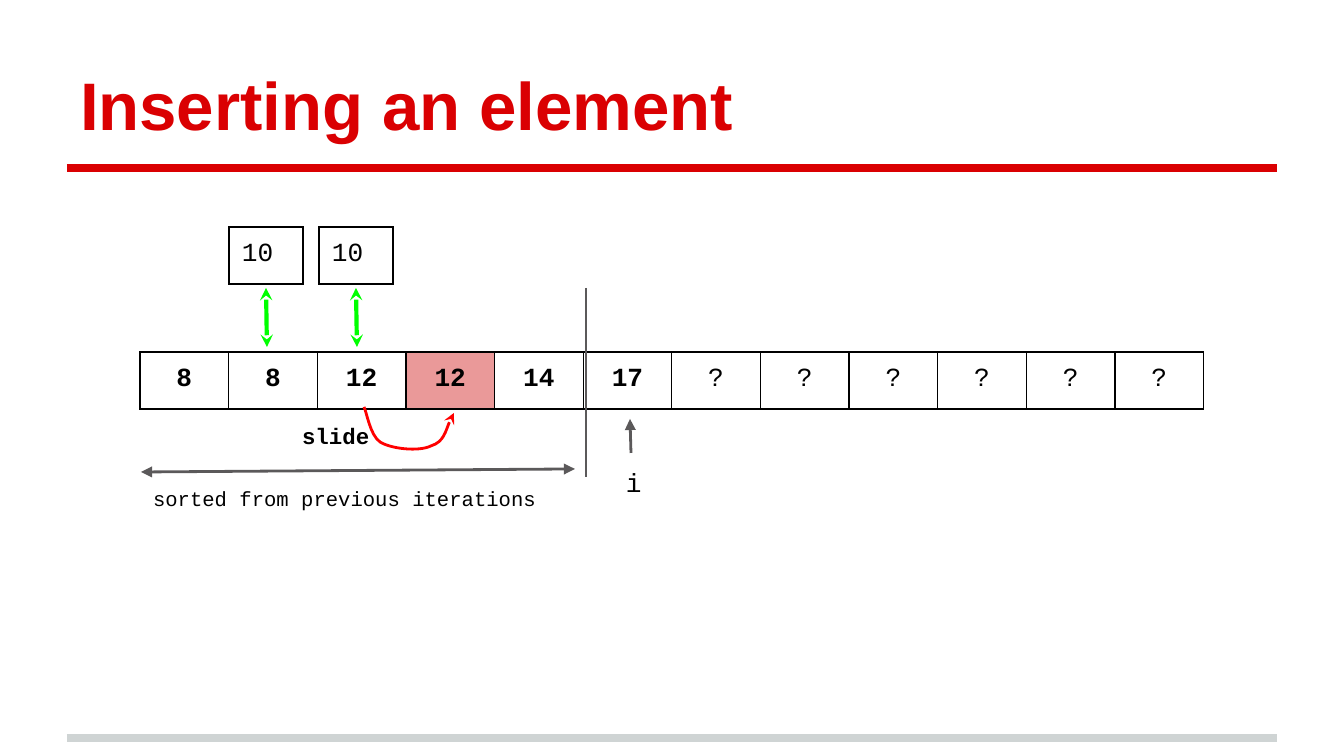
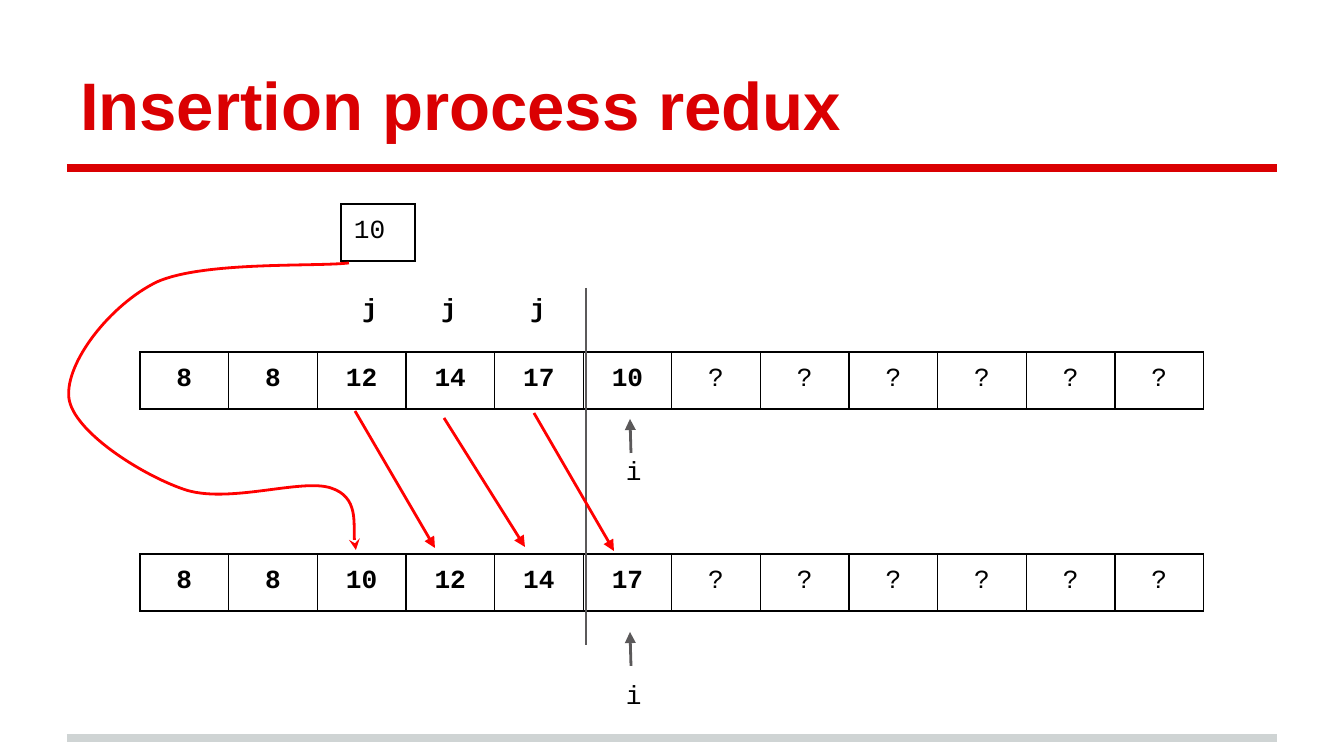
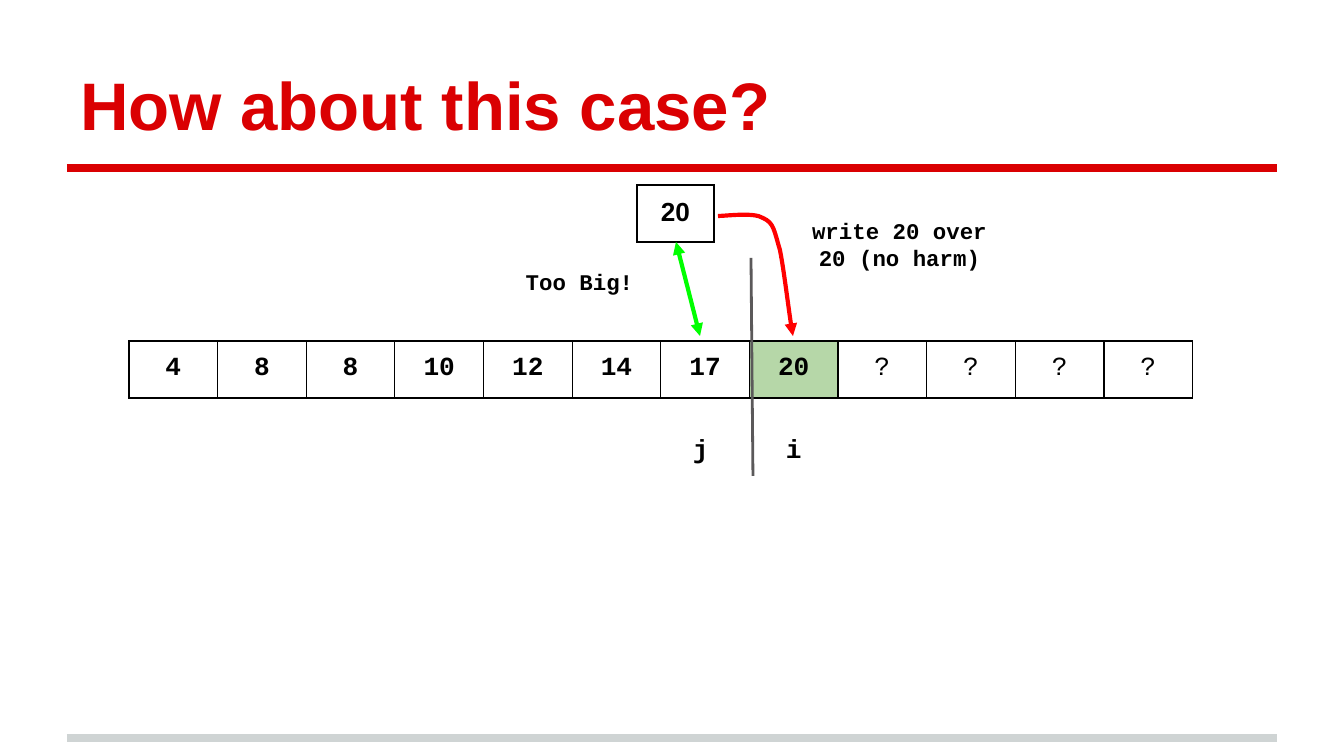
from lxml.etree import SubElement
from pptx import Presentation
from pptx.dml.color import RGBColor
from pptx.enum.shapes import MSO_CONNECTOR
from pptx.enum.text import MSO_ANCHOR, MSO_AUTO_SIZE, PP_ALIGN
from pptx.oxml.ns import qn
from pptx.util import Emu, Pt

SCALE = 914400 / 134.4  # EMU in one pixel
PAD = 13
ROW_H = 57
ROW_W = 1064
BOX_W = 74
TEXT_H = 67

BLACK = RGBColor(0x00, 0x00, 0x00)
CRIMSON = RGBColor(0xDA, 0x00, 0x02)
SILVER = RGBColor(0xCF, 0xD4, 0xD4)
GRAY = RGBColor(0x5B, 0x59, 0x5A)
RED = RGBColor(0xFF, 0x00, 0x00)
LIME = RGBColor(0x00, 0xFF, 0x00)
PINK = RGBColor(0xEA, 0x99, 0x99)
SAGE = RGBColor(0xB6, 0xD7, 0xA8)

SANS = "Arial"
MONO = "Courier New"
LEFT, CENTER = PP_ALIGN.LEFT, PP_ALIGN.CENTER


def px(value):
    return Emu(round(value * SCALE))


class Deck:
    def __init__(self):
        self.file = Presentation()
        self.file.slide_width = px(1344)
        self.file.slide_height = px(756)
        self.layout = self.file.slide_layouts[5]
        self.slide = None

    def page(self, title):
        first = self.slide is None
        self.slide = self.file.slides.add_slide(self.layout)
        if first:
            self.bands()
        head = self.slide.shapes.title
        head.left, head.top, head.width, head.height = map(px, (67, 31, 1210, 126))
        self.fill_text(head.text_frame, title, 36, True, LEFT, SANS, CRIMSON)
        head.text_frame.vertical_anchor = MSO_ANCHOR.BOTTOM

    def bands(self):
        # Both rules move to the layout, so every slide shows them
        for num, (y, color) in enumerate([(738, SILVER), (168, CRIMSON)], 20):
            rule = self.line((67, y), (1277, y), color, 4)
            rule.element.nvCxnSpPr.cNvPr.id = num
            self.layout.shapes.element.append(rule.element)

    def add_text(self, para, text, size, bold, align, font, color):
        para.alignment = align
        run = para.add_run()
        run.text = text
        run.font.size = Pt(size)
        run.font.bold = bold
        run.font.name = font
        run.font.color.rgb = color

    def fill_text(self, frame, text, size, bold, align, font=MONO, color=BLACK):
        frame.word_wrap = True
        frame.auto_size = MSO_AUTO_SIZE.NONE
        frame.margin_left = frame.margin_right = px(PAD)
        frame.margin_top = frame.margin_bottom = px(PAD)
        self.add_text(frame.paragraphs[0], text, size, bold, align, font, color)

    def label(self, x, y, w, text, size=14, bold=True, align=CENTER):
        box = self.slide.shapes.add_textbox(px(x), px(y), px(w), px(TEXT_H))
        self.fill_text(box.text_frame, text, size, bold, align)

    def ends(self, shape, color, width, head, tail):
        shape.line.color.rgb = color
        shape.line.width = Pt(width)
        ln = shape.element.spPr.find(qn("a:ln"))
        for tag, kind in (("a:headEnd", head), ("a:tailEnd", tail)):
            if kind:
                SubElement(ln, qn(tag), type=kind)

    def line(self, start, end, color=GRAY, width=1.5, head=None, tail=None):
        line = self.slide.shapes.add_connector(
            MSO_CONNECTOR.STRAIGHT, *map(px, start + end))
        self.ends(line, color, width, head, tail)
        SubElement(line.element.spPr, qn("a:effectLst"))
        return line

    def curve(self, points, width=1.5, tail="stealth"):
        # After the start, each three points make one Bezier segment
        pen = self.slide.shapes.build_freeform(*points[0], scale=SCALE)
        pen.add_line_segments(points[1:], close=False)
        shape = pen.convert_to_shape()
        shape.fill.background()
        shape.shadow.inherit = False
        self.ends(shape, RED, width, None, tail)
        track = next(shape.element.iter(qn("a:path")))
        steps = track.findall(qn("a:lnTo"))
        for i in range(0, len(steps), 3):
            bend = SubElement(track, qn("a:cubicBezTo"))
            for step in steps[i:i + 3]:
                bend.append(step[0])
                track.remove(step)

    def table(self, x, y, w, items, bold=None, align=CENTER, font=MONO, fills=None):
        count = len(items)
        grid = self.slide.shapes.add_table(
            1, count, px(x), px(y), px(w), px(ROW_H)).table
        grid.first_row = grid.horz_banding = False
        grid.rows[0].height = px(ROW_H)
        for i, text in enumerate(items):
            grid.columns[i].width = px(w / count)
            cell = grid.cell(0, i)
            cell.margin_left = cell.margin_right = px(PAD)
            cell.margin_top = cell.margin_bottom = px(PAD)
            heavy = text != "?" if bold is None else bold
            para = cell.text_frame.paragraphs[0]
            self.add_text(para, text, 14, heavy, align, font, BLACK)
            if fills and i in fills:
                cell.fill.solid()
                cell.fill.fore_color.rgb = fills[i]
            else:
                cell.fill.background()
            self.frame(cell)

    def frame(self, cell):
        props = cell._tc.get_or_add_tcPr()
        for i, side in enumerate(("a:lnL", "a:lnR", "a:lnT", "a:lnB")):
            ln = SubElement(props, qn(side), w=str(Pt(0.75)))
            fill = SubElement(ln, qn("a:solidFill"))
            SubElement(fill, qn("a:srgbClr"), val=str(BLACK))
            props.insert(i, ln)

    def array(self, x, y, text, fills=None):
        known = text.split()
        self.table(x, y, ROW_W, known + ["?"] * (12 - len(known)), fills=fills)

    def spare(self, x, y):
        self.table(x, y, BOX_W, ["10"], False, LEFT)

    def marker(self, tip, y):
        # Arrow up to the current element, with its name below
        self.label(613, y, 36, "i", bold=False, align=LEFT)
        self.line((631, tip + 34), (630, tip), tail="triangle")

    def divide(self, y):
        self.line((586, y), (586, y + 189))


deck = Deck()

# Slide 1: one step of the insertion
deck.page("Inserting an element")
deck.array(140, 352, "8 8 12 12 14 17", {3: PINK})
deck.marker(419, 453)
deck.divide(288)
deck.line((141, 472), (575, 469), head="triangle", tail="triangle")
deck.label(140, 473, 422, "sorted from previous iterations", 11, False, LEFT)
for x in (319, 229):
    deck.spare(x, 227)
    deck.line((x + 37, 288), (x + 38, 347), LIME, 2.25, "stealth", "stealth")
deck.curve([(364, 407), (367, 413), (370, 435), (380, 442), (391, 449),
            (419, 452), (431, 446), (444, 442), (450, 418), (454, 413)])
deck.label(289, 409, 126, "slide", 12, align=LEFT)

# Slide 2: array before and after
deck.page("Insertion process redux")
deck.array(140, 352, "8 8 12 14 17 10")
deck.marker(419, 441)
deck.divide(288)
deck.array(140, 554, "8 8 10 12 14 17")
deck.marker(632, 665)
deck.divide(456)
deck.spare(341, 204)
for start, end in (((534, 413), (614, 551)), ((444, 418), (525, 547)),
                   ((355, 411), (435, 548))):
    deck.line(start, end, RED, tail="triangle")
deck.curve([(349, 263), (317, 267), (204, 261), (157, 282), (110, 305),
            (65, 363), (69, 398), (73, 431), (140, 474), (183, 489),
            (227, 505), (301, 478), (331, 488), (359, 497), (352, 539),
            (356, 550)])
for x in (507, 418, 339):
    deck.label(x, 278, 62, "j")

# Slide 3: element already in place
deck.page("How about this case?")
deck.array(129, 341, "4 8 8 10 12 14 17 20", {7: SAGE})
deck.line((751, 258), (753, 476))
deck.table(637, 185, 77, ["20"], font=SANS)
deck.line((676, 242), (700, 336), LIME, 2.25, "triangle", "triangle")
deck.curve([(718, 216), (726, 216), (754, 212), (763, 218), (774, 223),
            (774, 230), (780, 250), (784, 270), (790, 321), (793, 336)],
           2.25, "triangle")
for x, name in ((773, "i"), (680, "j")):
    deck.label(x, 419, 58, name, align=LEFT)
deck.label(488, 255, 183, "Too Big!", 12)
deck.label(786, 204, 227, "write 20 over 20 (no harm)", 12)

deck.file.save("out.pptx")
